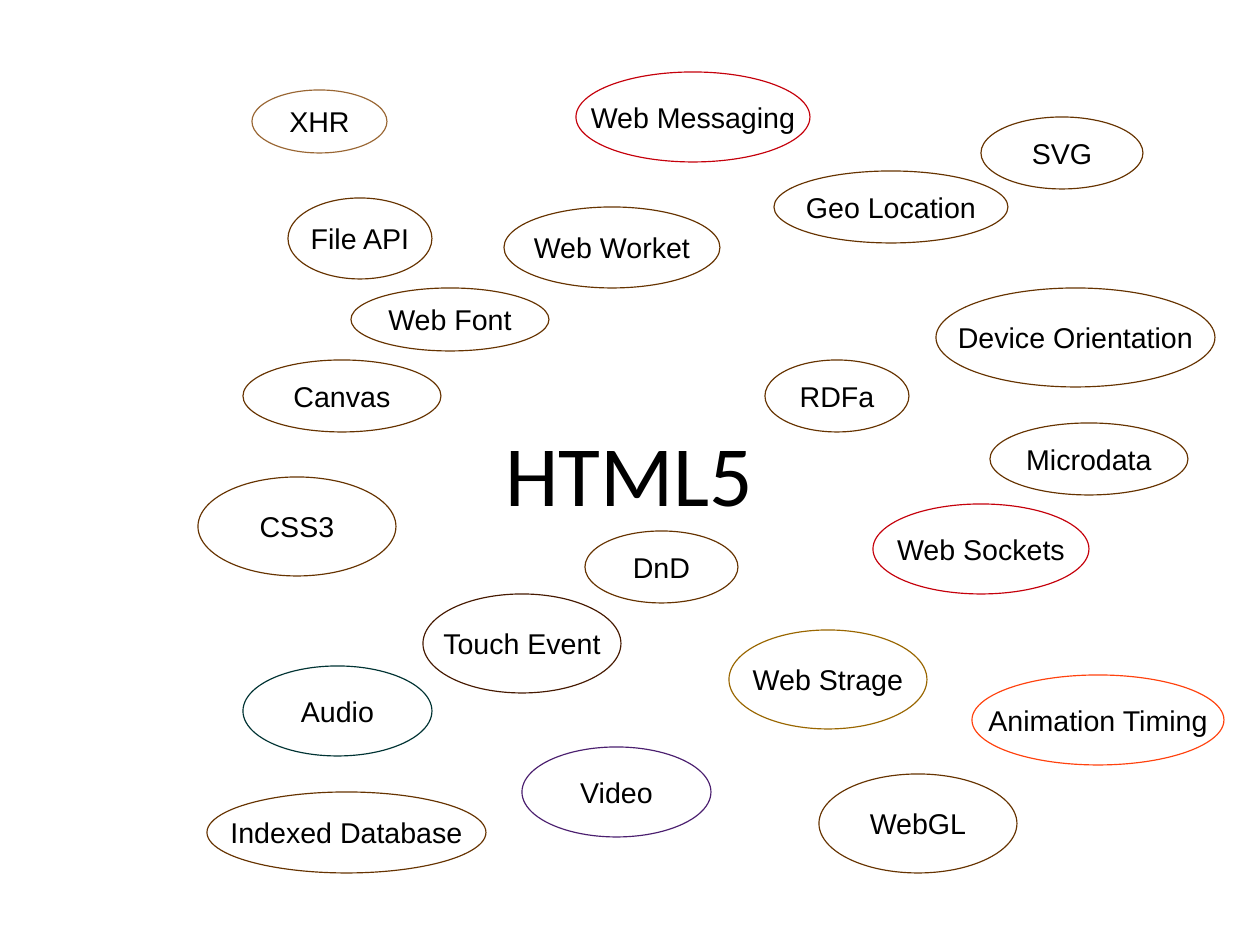
from dataclasses import dataclass

from pptx import Presentation
from pptx.dml.color import RGBColor
from pptx.enum.shapes import MSO_SHAPE as SHAPE
from pptx.enum.text import MSO_ANCHOR as ANCHOR, MSO_AUTO_SIZE as FIT, PP_ALIGN as ALIGN
from pptx.util import Emu, Pt

PX = 8000
SLIDE_W, SLIDE_H = 1260, 945


@dataclass(frozen=True)
class Theme:
    text: str = "000000"
    brown: str = "663300"
    dark_brown: str = "461900"
    tan: str = "996633"
    ochre: str = "996600"
    red: str = "C5000B"
    orange: str = "FF420E"
    teal: str = "003333"
    purple: str = "4B1F6F"
    heading_font: str = "Calibri"
    topic_font: str = "Arial"
    heading_size: int = 54
    topic_size: int = 18
    outline: int = 0


THEME = Theme()

TOPICS = [
    ("Audio", 243, 666, 189, 90, THEME.teal),
    ("Touch Event", 423, 594, 198, 99, THEME.dark_brown),
    ("Video", 522, 747, 189, 90, THEME.purple),
    ("DnD", 585, 531, 153, 72, THEME.brown),
    ("Web Sockets", 873, 504, 216, 90, THEME.red),
    ("Web Strage", 729, 630, 198, 99, THEME.ochre),
    ("Web Messaging", 576, 72, 234, 90, THEME.red),
    ("CSS3", 198, 477, 198, 99, THEME.brown),
    ("Microdata", 990, 423, 198, 72, THEME.brown),
    ("RDFa", 765, 360, 144, 72, THEME.brown),
    ("Web Worket", 504, 207, 216, 81, THEME.brown),
    ("WebGL", 819, 774, 198, 99, THEME.brown),
    ("Animation Timing", 972, 675, 252, 90, THEME.orange),
    ("Web Font", 351, 288, 198, 63, THEME.brown),
    ("File API", 288, 198, 144, 81, THEME.brown),
    ("Device Orientation", 936, 288, 279, 99, THEME.brown),
    ("SVG", 981, 117, 162, 72, THEME.brown),
    ("XHR", 252, 90, 135, 63, THEME.tan),
    ("Geo Location", 774, 171, 234, 72, THEME.brown),
    ("Indexed Database", 207, 792, 279, 81, THEME.brown),
    ("Canvas", 243, 360, 198, 72, THEME.brown),
]


def px(n):
    return Emu(n * PX)


def add_text(tf, text, font, size):
    tf.vertical_anchor = ANCHOR.MIDDLE
    p = tf.paragraphs[0]
    p.alignment = ALIGN.CENTER
    p.space_before = Pt(0)
    r = p.add_run()
    r.text = text
    r.font.name = font
    r.font.size = Pt(size)
    r.font.color.rgb = RGBColor.from_string(THEME.text)


def place_heading(s, box, text):
    sp = s.placeholders[1]
    sp.left, sp.top, sp.width, sp.height = map(px, box)
    tf = sp.text_frame
    tf.auto_size = FIT.NONE
    tf.margin_left = tf.margin_right = tf.margin_top = tf.margin_bottom = 0
    add_text(tf, text, THEME.heading_font, THEME.heading_size)


def place_topics(s, box, topics):
    left, top = box[:2]
    for label, x, y, w, h, color in topics:
        sp = s.shapes.add_shape(SHAPE.OVAL, px(left + x), px(top + y), px(w), px(h))
        sp.shadow.inherit = False
        sp.fill.background()
        sp.line.color.rgb = RGBColor.from_string(color)
        sp.line.width = Pt(THEME.outline)
        sp.text_frame.word_wrap = False
        add_text(sp.text_frame, label, THEME.topic_font, THEME.topic_size)


def main():
    prs = Presentation()
    prs.slide_width, prs.slide_height = px(SLIDE_W), px(SLIDE_H)
    s = prs.slides.add_slide(prs.slide_layouts[0])
    title = s.shapes.title.element
    title.getparent().remove(title)
    place_heading(s, (123, 103, 1013, 739), "HTML5")
    place_topics(s, (0, 0, SLIDE_W, SLIDE_H), TOPICS)
    prs.save("out.pptx")


if __name__ == "__main__":
    main()
